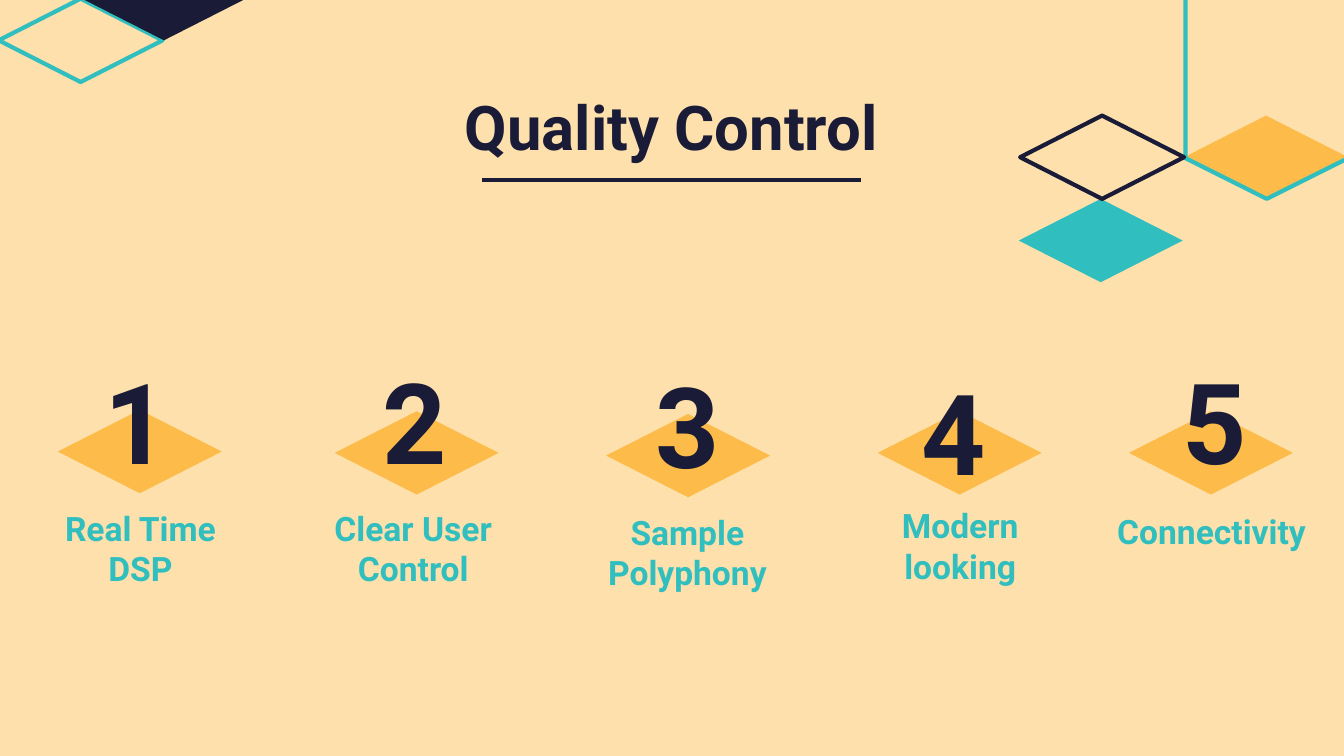
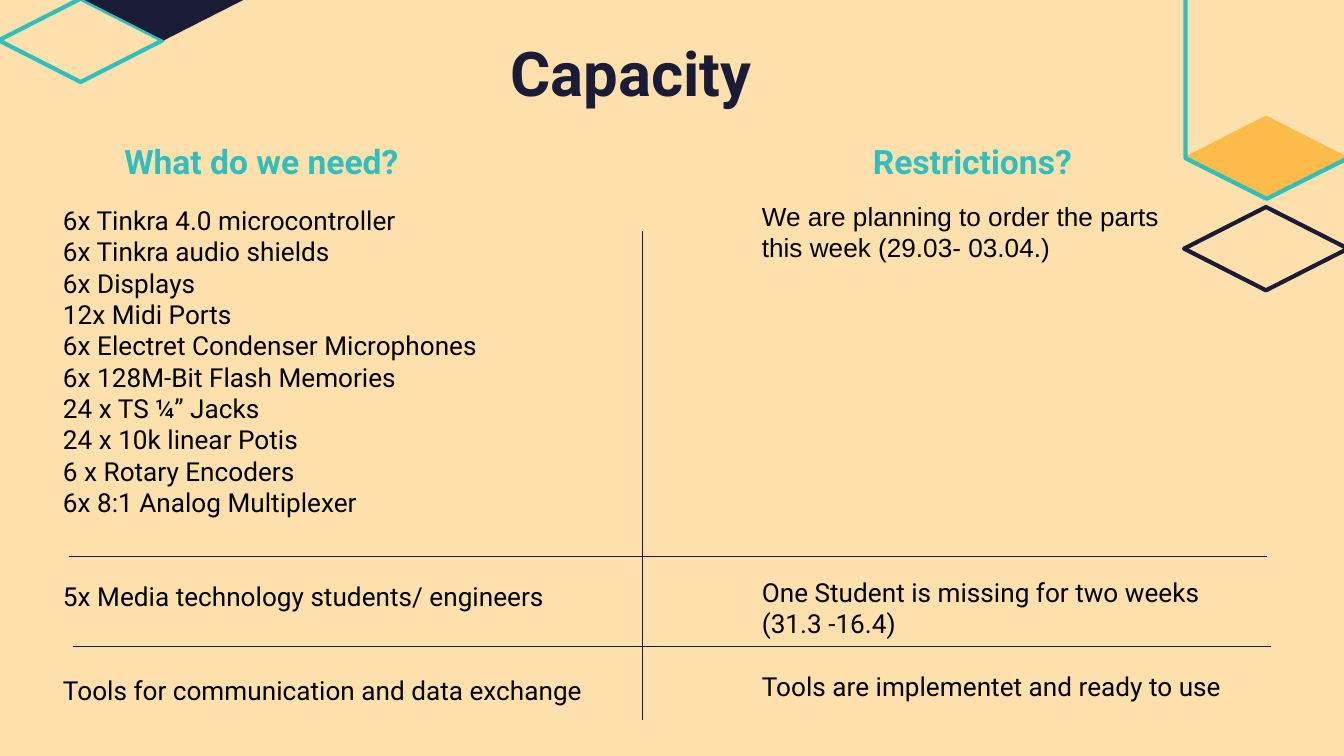
from dataclasses import dataclass

from lxml import etree
from pptx import Presentation
from pptx.dml.color import RGBColor
from pptx.enum.shapes import MSO_CONNECTOR, MSO_SHAPE
from pptx.enum.text import MSO_ANCHOR, MSO_AUTO_SIZE, PP_ALIGN
from pptx.oxml.ns import qn
from pptx.presentation import Presentation as Deck
from pptx.shapes.autoshape import Shape
from pptx.slide import Slide
from pptx.util import Inches, Length, Pt

SAND = RGBColor(0xFD, 0xE0, 0xAC)
AMBER = RGBColor(0xFD, 0xBC, 0x4A)
TEAL = RGBColor(0x31, 0xBE, 0xBE)
NAVY = RGBColor(0x1A, 0x1B, 0x36)
RULE_NAVY = RGBColor(0x19, 0x1A, 0x35)
BLACK = RGBColor(0, 0, 0)

DIAMOND = MSO_SHAPE.DIAMOND
HEXAGON = MSO_SHAPE.HEXAGON
STRAIGHT = MSO_CONNECTOR.STRAIGHT
TOP, MIDDLE, BOTTOM = MSO_ANCHOR.TOP, MSO_ANCHOR.MIDDLE, MSO_ANCHOR.BOTTOM
LEFT, CENTER = PP_ALIGN.LEFT, PP_ALIGN.CENTER
NO_FIT = MSO_AUTO_SIZE.NONE

SLIDE_WIDTH = Inches(10)
COLUMNS, ROWS = 100, 56.25
CELL = SLIDE_WIDTH / COLUMNS
TITLE_ONLY = 5
HEAVY, THIN = 2.25, 0.75
BODY_LINE = 16.8


@dataclass(frozen=True)
class Area:
    column: float
    row: float
    columns: float
    rows: float


@dataclass(frozen=True)
class TextStyle:
    size: float
    color: RGBColor
    bold: bool = False
    align: PP_ALIGN = LEFT
    anchor: MSO_ANCHOR = TOP
    font: str = "Roboto"
    inset: float = 0.5


@dataclass(frozen=True)
class Feature:
    number: str
    lines: tuple[str, ...]
    diamond_center: float
    diamond_row: float
    number_center: float
    number_row: float
    label_center: float
    label_row: float
    label_columns: float = 20.7


@dataclass(frozen=True)
class Notes:
    area: Area
    lines: tuple[str, ...]
    blank_lines_before: dict[int, int]
    font: str = "Roboto"


TITLE = TextStyle(33, NAVY, True, CENTER, BOTTOM, inset=1)
NUMBER = TextStyle(60, NAVY, True, CENTER, MIDDLE, inset=1)
LABEL = TextStyle(18, TEAL, True, CENTER, inset=1)

FEATURES = (
    Feature("1", ("Real Time", "DSP"), 10.4, 30.5, 10.15, 27.2, 10.45, 36.8, 31.5),
    Feature("2", ("Clear User", "Control"), 31, 30.6, 30.85, 27.2, 30.75, 36.8, 23.7),
    Feature("3", ("Sample Polyphony",), 51.2, 30.8, 51.15, 27.5, 51.15, 37.1),
    Feature("4", ("Modern", "looking"), 71.4, 30.6, 70.95, 28, 71.45, 36.6),
    Feature("5", ("Connectivity",), 90.1, 30.6, 90.35, 27.2, 90.15, 37),
)

NOTES = (
    Notes(
        Area(3.7, 14.7, 41.1, 43.4),
        (
            "6x Tinkra 4.0 microcontroller",
            "6x Tinkra audio shields",
            "6x Displays",
            "12x Midi Ports",
            "6x Electret Condenser Microphones",
            "6x 128M-Bit Flash Memories",
            "24 x TS ¼” Jacks",
            "24 x 10k linear Potis",
            "6 x Rotary Encoders",
            "6x 8:1 Analog Multiplexer",
            "5x Media technology students/ engineers",
            "Tools for communication and data exchange",
        ),
        {10: 2, 11: 2},
    ),
    Notes(
        Area(55.7, 14.4, 41.1, 10.4),
        ("We are planning to order the parts", "this week (29.03- 03.04.)"),
        {},
        "Arial",
    ),
    Notes(
        Area(55.7, 42.4, 41.1, 10.4),
        (
            "One Student is missing for two weeks",
            "(31.3 -16.4)",
            "Tools are implementet and ready to use",
        ),
        {2: 1},
    ),
)


def cells(count: float) -> Length:
    return Length(round(count * CELL))


def bounds(area: Area) -> tuple[Length, Length, Length, Length]:
    return cells(area.column), cells(area.row), cells(area.columns), cells(area.rows)


def write(box: Shape, lines: tuple[str, ...], style: TextStyle) -> None:
    frame = box.text_frame
    frame.auto_size = NO_FIT
    frame.word_wrap = True
    frame.vertical_anchor = style.anchor
    frame.margin_left = frame.margin_right = cells(1)
    frame.margin_top = frame.margin_bottom = cells(style.inset)
    frame.text = "\n".join(lines)
    for paragraph in frame.paragraphs:
        paragraph.alignment = style.align
        paragraph.font.size = Pt(style.size)
        paragraph.font.name = style.font
        paragraph.font.bold = style.bold
        paragraph.font.color.rgb = style.color


def add_text(page: Slide, area: Area, lines: tuple[str, ...], style: TextStyle) -> Shape:
    box = page.shapes.add_textbox(*bounds(area))
    write(box, lines, style)
    return box


def add_outline(page: Slide, kind: MSO_SHAPE, area: Area, color: RGBColor) -> Shape:
    shape = page.shapes.add_shape(kind, *bounds(area))
    shape.shadow.inherit = False
    shape.fill.background()
    shape.line.color.rgb = color
    shape.line.width = Pt(HEAVY)
    etree.SubElement(shape.line._get_or_add_ln(), qn("a:round"))
    return shape


def diamond_area(column: float, row: float) -> Area:
    return Area(column, row, 12.2, 6.2)


def add_solid_diamond(page: Slide, column: float, row: float, color: RGBColor) -> None:
    shape = page.shapes.add_shape(DIAMOND, *bounds(diamond_area(column, row)))
    shape.shadow.inherit = False
    shape.fill.solid()
    shape.fill.fore_color.rgb = color
    shape.line.fill.background()


def add_open_diamond(page: Slide, column: float, row: float, color: RGBColor) -> None:
    add_outline(page, DIAMOND, diamond_area(column, row), color)


def add_rule(
    page: Slide,
    start: tuple[float, float],
    end: tuple[float, float],
    color: RGBColor,
    width: float,
) -> None:
    ends = (cells(count) for count in start + end)
    rule = page.shapes.add_connector(STRAIGHT, *ends)
    rule.line.color.rgb = color
    rule.line.width = Pt(width)
    etree.SubElement(rule._element.spPr, qn("a:effectLst"))


def add_page(deck: Deck, title: str, column: float, row: float) -> Slide:
    page = deck.slides.add_slide(deck.slide_layouts[TITLE_ONLY])
    heading = page.shapes.title
    heading.left, heading.top, heading.width, heading.height = bounds(
        Area(column, row, 86.5, 6.6)
    )
    write(heading, (title,), TITLE)
    add_solid_diamond(page, 88.1, 8.6, AMBER)
    add_open_diamond(page, -0.1, -0.1, TEAL)
    add_solid_diamond(page, 6.1, -3.2, NAVY)
    hexagon = add_outline(page, HEXAGON, Area(83.4, -2.1, 21.7, 12.1), TEAL)
    hexagon.rotation = 90
    return page


def add_feature(page: Slide, feature: Feature) -> None:
    add_solid_diamond(page, feature.diamond_center - 6.1, feature.diamond_row, AMBER)
    number_area = Area(feature.number_center - 8.45, feature.number_row, 16.9, 8.1)
    add_text(page, number_area, (feature.number,), NUMBER)
    label_column = feature.label_center - feature.label_columns / 2
    label_area = Area(label_column, feature.label_row, feature.label_columns, 3.9)
    add_text(page, label_area, feature.lines, LABEL)


def add_notes(page: Slide, notes: Notes) -> None:
    style = TextStyle(14, BLACK, font=notes.font)
    box = add_text(page, notes.area, notes.lines, style)
    for index, blank_lines in notes.blank_lines_before.items():
        box.text_frame.paragraphs[index].space_before = Pt(blank_lines * BODY_LINE)


def build_quality_control(deck: Deck) -> None:
    page = add_page(deck, "Quality Control", 6.7, 6.5)
    add_solid_diamond(page, 75.8, 14.8, TEAL)
    add_open_diamond(page, 75.9, 8.6, NAVY)
    add_rule(page, (35.9, 13.4), (64.1, 13.4), NAVY, HEAVY)
    for feature in FEATURES:
        add_feature(page, feature)


def build_capacity(deck: Deck) -> None:
    page = add_page(deck, "Capacity", 3.7, 2.5)
    add_open_diamond(page, 88.1, 15.4, NAVY)
    for column, heading in ((3.7, "What do we need?"), (56.6, "Restrictions?")):
        add_text(page, Area(column, 9.5, 31.5, 3.9), (heading,), LABEL)
    add_rule(page, (47.8, 17.2), (47.8, 53.6), RULE_NAVY, THIN)
    for column, row in ((5.1, 41.4), (5.4, 48.1)):
        add_rule(page, (column, row), (column + 89.15, row), RULE_NAVY, THIN)
    for notes in NOTES:
        add_notes(page, notes)


def main() -> None:
    deck = Presentation()
    deck.slide_width = SLIDE_WIDTH
    deck.slide_height = cells(ROWS)
    backdrop = deck.slide_master.background.fill
    backdrop.solid()
    backdrop.fore_color.rgb = SAND
    build_quality_control(deck)
    build_capacity(deck)
    deck.save("out.pptx")


if __name__ == "__main__":
    main()
